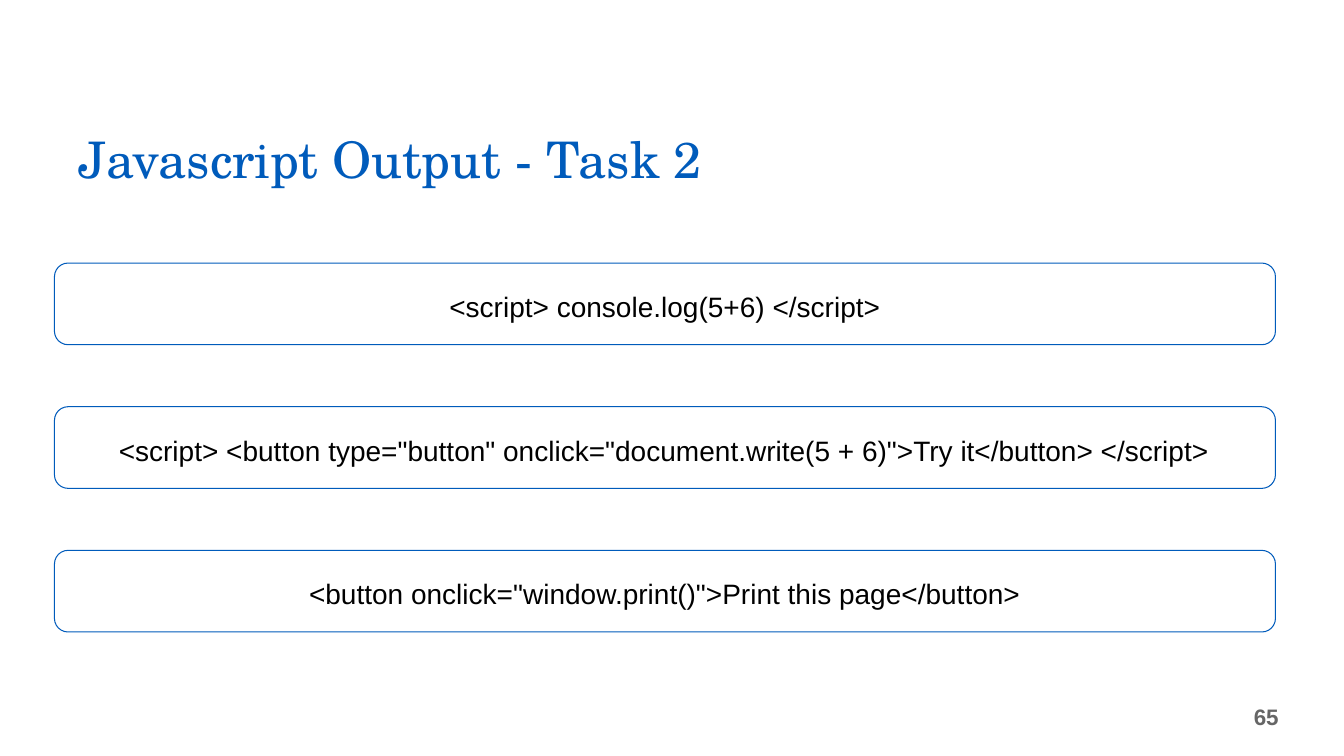
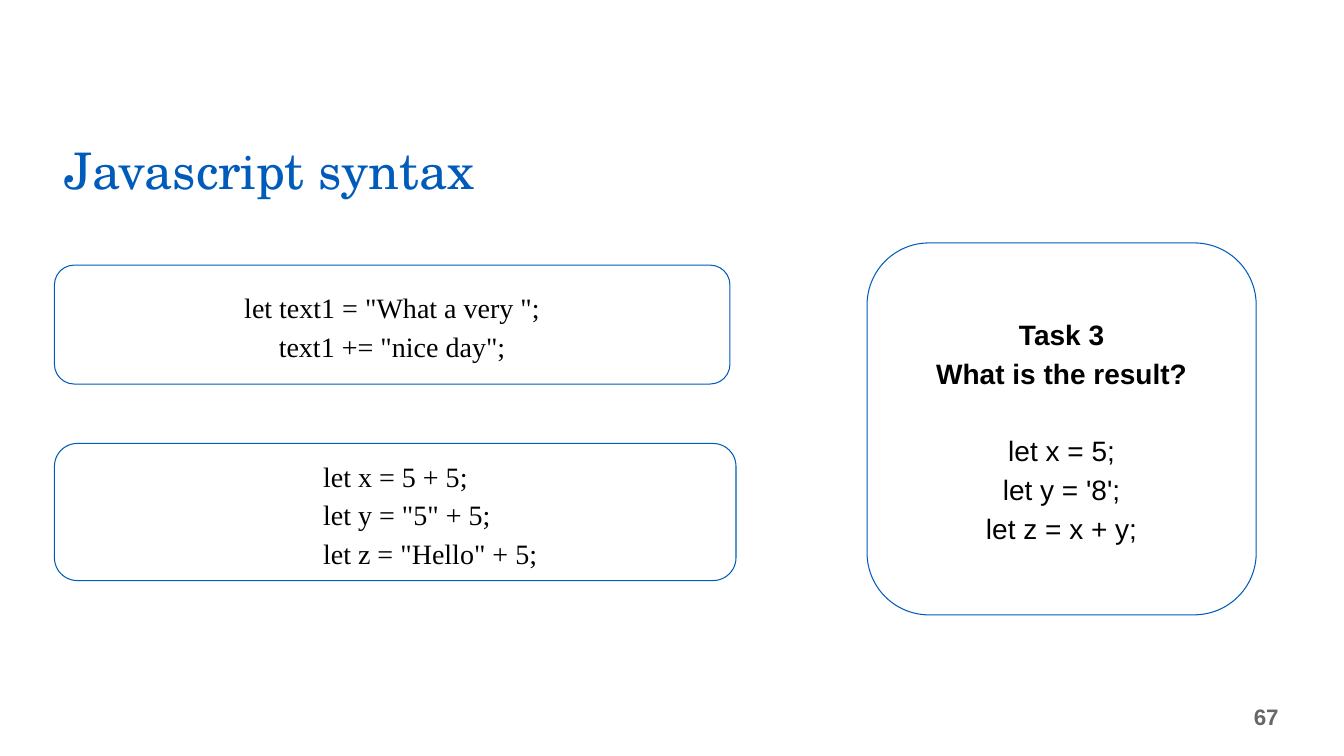
from pptx import Presentation, util as u
from pptx.dml.color import RGBColor
from pptx.enum import shapes, text

INK = {"blue": "005BBB", "white": "FFFFFF", "black": "000000", "gray": "666666"}
SANS, SERIF, HEAD = "Arial", "Times New Roman", "TeX Gyre Schola"
MID, RIGHT, LEFT = text.PP_ALIGN.CENTER, text.PP_ALIGN.RIGHT, text.PP_ALIGN.LEFT
EDGE = 0.54  # left edge of the panels
ROW, STEP = 2.61, 1.425  # first output panel and the pitch of the rest

# Output panels: code, left margin (None = centred)
OUTPUT = [
    ("<script> console.log(5+6) </script>", None),
    ('<script> <button type="button" onclick="document.write(5 + 6)">'
     "Try it</button> </script>", (0.5, 0)),
    ('<button onclick="window.print()">Print this page</button>', None),
]

# Panels: place, font, lines, (margin, first-line indent), bold heading lines
SLIDES = [
    {"title": "Javascript Output - Task 2", "at": (0.68, 1.24), "page": "65",
     "panels": [((EDGE, ROW + i * STEP, 12.11, 0.81), SANS, [code], dent, 0)
                for i, (code, dent) in enumerate(OUTPUT)]},
    {"title": "Javascript syntax", "at": (EDGE, 1.35), "page": "67",
     "panels": [
         ((EDGE, 2.63, 6.7, 1.18), SERIF,
          ['let text1 = "What a very ";', 'text1 += "nice day";'], None, 0),
         ((EDGE, 4.4, 6.76, 1.36), SERIF,
          ["let x = 5 + 5;", 'let y = "5" + 5;', 'let z = "Hello" + 5;'],
          (2, 0.5), 0),
         ((8.6, 2.41, 3.86, 3.69), SANS,
          ["Task 3", "What is the result?",
           "let x = 5;", "let y = '8';", "let z = x + y;"], None, 2),
     ]},
]


def tint(name):
    return RGBColor.from_string(INK[name])


def place(at):
    return [u.Inches(n) for n in at]


def setup(frame, pad, anchor):
    frame.word_wrap = True
    frame.vertical_anchor = anchor
    frame.margin_left = frame.margin_right = u.Inches(0.1)
    frame.margin_top = frame.margin_bottom = u.Inches(pad)


def style(para, font, size, color, bold=False, align=LEFT, space=1.0):
    para.alignment, para.line_spacing = align, space
    para.font.name, para.font.size = font, u.Pt(size)
    para.font.bold = bold
    para.font.color.rgb = tint(color)


def label(slide, at, words, pad, anchor, **look):
    frame = slide.shapes.add_textbox(*place(at)).text_frame
    setup(frame, pad, anchor)
    frame.text = words
    style(frame.paragraphs[0], **look)


def panel(slide, at, font, lines, dent, heads):
    box = slide.shapes.add_shape(shapes.MSO_SHAPE.ROUNDED_RECTANGLE, *place(at))
    box.shadow.inherit = False
    box.fill.solid()
    box.fill.fore_color.rgb = tint("white")
    box.line.color.rgb = tint("blue")
    box.line.width = u.Pt(0.75)
    frame = box.text_frame
    setup(frame, 0.1, text.MSO_ANCHOR.MIDDLE)
    frame.text = "\n".join(lines)
    for i, para in enumerate(frame.paragraphs):
        style(para, font, 20, "black", i < heads, LEFT if dent else MID, 1.15)
        if dent:
            props = para._p.get_or_add_pPr()
            for key, size in zip(("marL", "indent"), dent):
                props.set(key, str(u.Inches(size)))
        if heads and i == heads:  # one line of air below the heading
            para.space_before = u.Pt(27.6)


def main():
    deck = Presentation()
    deck.slide_width, deck.slide_height = u.Inches(13.33), u.Inches(7.5)
    for data in SLIDES:
        slide = deck.slides.add_slide(deck.slide_layouts[6])
        # Page number
        label(slide, (8.28, 6.91, 4.5, 0.4), data["page"], 0.05,
              text.MSO_ANCHOR.MIDDLE, font=SANS, size=16, color="gray",
              bold=True, align=RIGHT)
        # Code panels
        for item in data["panels"]:
            panel(slide, *item)
        # Title
        label(slide, (*data["at"], 6.87, 0.75), data["title"], 0.1,
              text.MSO_ANCHOR.TOP, font=HEAD, size=36, color="blue", space=0.9)
    deck.save("out.pptx")


if __name__ == "__main__":
    main()
